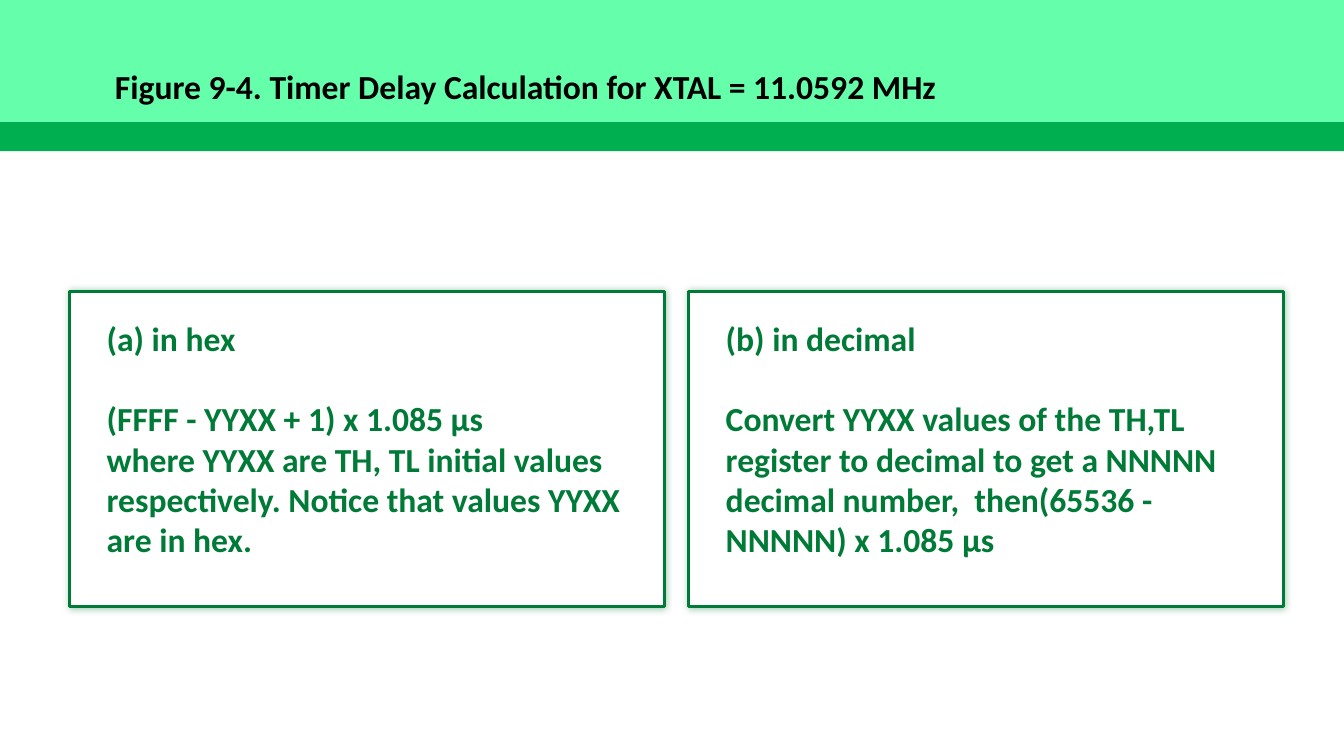
from lxml.etree import SubElement
from pptx import Presentation
from pptx.dml.color import RGBColor
from pptx.enum.shapes import MSO_SHAPE
from pptx.enum.text import MSO_ANCHOR, MSO_AUTO_SIZE, PP_ALIGN
from pptx.oxml.ns import qn
from pptx.util import Inches, Pt

COLORS = {
    "band": "00B050",
    "header": "65FFAB",
    "title": "000000",
    "accent": "007A37",
    "card": "FFFFFF",
}
SLIDE_W = 13.33
CARD_W, CARD_H = 5.9, 3.13
CARD_LEFT, CARD_TOP, CARD_STEP = 0.69, 2.89, 6.14

CARDS = [
    [
        "(a) in hex",
        "(FFFF - YYXX + 1) x 1.085 µs",
        "where YYXX are TH, TL initial values respectively. "
        "Notice that values YYXX are in hex.",
    ],
    [
        "(b) in decimal",
        "Convert YYXX values of the TH,TL register to decimal to get a NNNNN "
        "decimal number,  then(65536 - NNNNN) x 1.085 µs",
    ],
]


class SlideBuilder:
    font_name = "Calibri"
    font_size = Pt(24)
    blank_line = Pt(29)

    def __init__(self, prs):
        self.s = prs.slides.add_slide(prs.slide_layouts[5])

    def color(self, name):
        return RGBColor.from_string(COLORS[name])

    def style(self, p, color):
        p.alignment = PP_ALIGN.LEFT
        for r in p.runs:
            r.font.name = self.font_name
            r.font.size = self.font_size
            r.font.bold = True
            r.font.color.rgb = self.color(color)

    def rect(self, x, y, w, h, fill):
        sp = self.s.shapes.add_shape(
            MSO_SHAPE.RECTANGLE, Inches(x), Inches(y), Inches(w), Inches(h))
        sp.shadow.inherit = False
        sp.fill.solid()
        sp.fill.fore_color.rgb = self.color(fill)
        sp.line.fill.background()
        return sp

    def glow(self, sp, color):
        effects = sp.element.spPr.find(qn("a:effectLst"))
        shadow = SubElement(effects, qn("a:outerShdw"), blurRad=str(Pt(5)),
                            dist="0", dir="0", algn="ctr", rotWithShape="0")
        rgb = SubElement(shadow, qn("a:srgbClr"), val=COLORS[color])
        SubElement(rgb, qn("a:alpha"), val="40000")

    def title(self, x, y, w, h, text):
        sp = self.s.shapes.title
        sp.left, sp.top, sp.width, sp.height = map(Inches, (x, y, w, h))
        sp.element.getparent().append(sp.element)
        tf = sp.text_frame
        tf.text = text
        tf.word_wrap = True
        tf.auto_size = MSO_AUTO_SIZE.NONE
        tf.vertical_anchor = MSO_ANCHOR.TOP
        self.style(tf.paragraphs[0], "title")

    def text(self, x, y, w, h, lines, color):
        tf = self.s.shapes.add_textbox(
            Inches(x), Inches(y), Inches(w), Inches(h)).text_frame
        tf.word_wrap = True
        tf.auto_size = MSO_AUTO_SIZE.SHAPE_TO_FIT_TEXT
        tf.text = "\n".join(lines)
        for p in tf.paragraphs:
            self.style(p, color)
        tf.paragraphs[1].space_before = self.blank_line

    def card(self, x, y, lines):
        sp = self.rect(x, y, CARD_W, CARD_H, "card")
        sp.line.color.rgb = self.color("accent")
        sp.line.width = Pt(2.25)
        self.glow(sp, "accent")
        self.text(x + 0.27, y + 0.21, 5.3, 2.52, lines, "accent")


def main():
    prs = Presentation()
    prs.slide_width, prs.slide_height = Inches(SLIDE_W), Inches(7.5)
    b = SlideBuilder(prs)
    b.rect(0, 0, SLIDE_W, 1.5, "band")
    b.rect(0, 0, SLIDE_W, 1.21, "header")
    b.title(1.04, 0.6, 11.26, 0.5,
            "Figure 9-4. Timer Delay Calculation for XTAL = 11.0592 MHz")
    for i, lines in enumerate(CARDS):
        b.card(CARD_LEFT + i * CARD_STEP, CARD_TOP, lines)
    prs.save("out.pptx")


if __name__ == "__main__":
    main()
